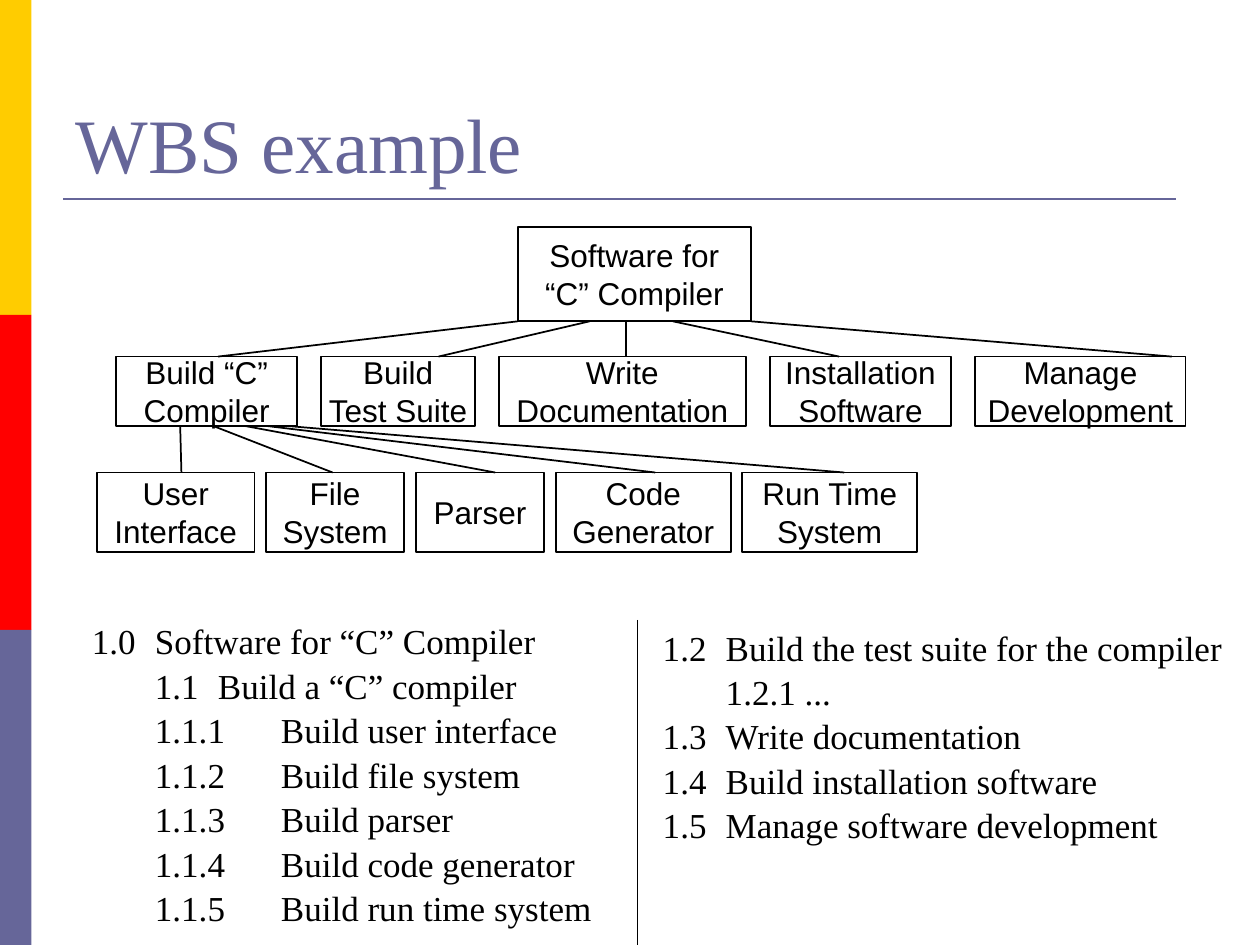
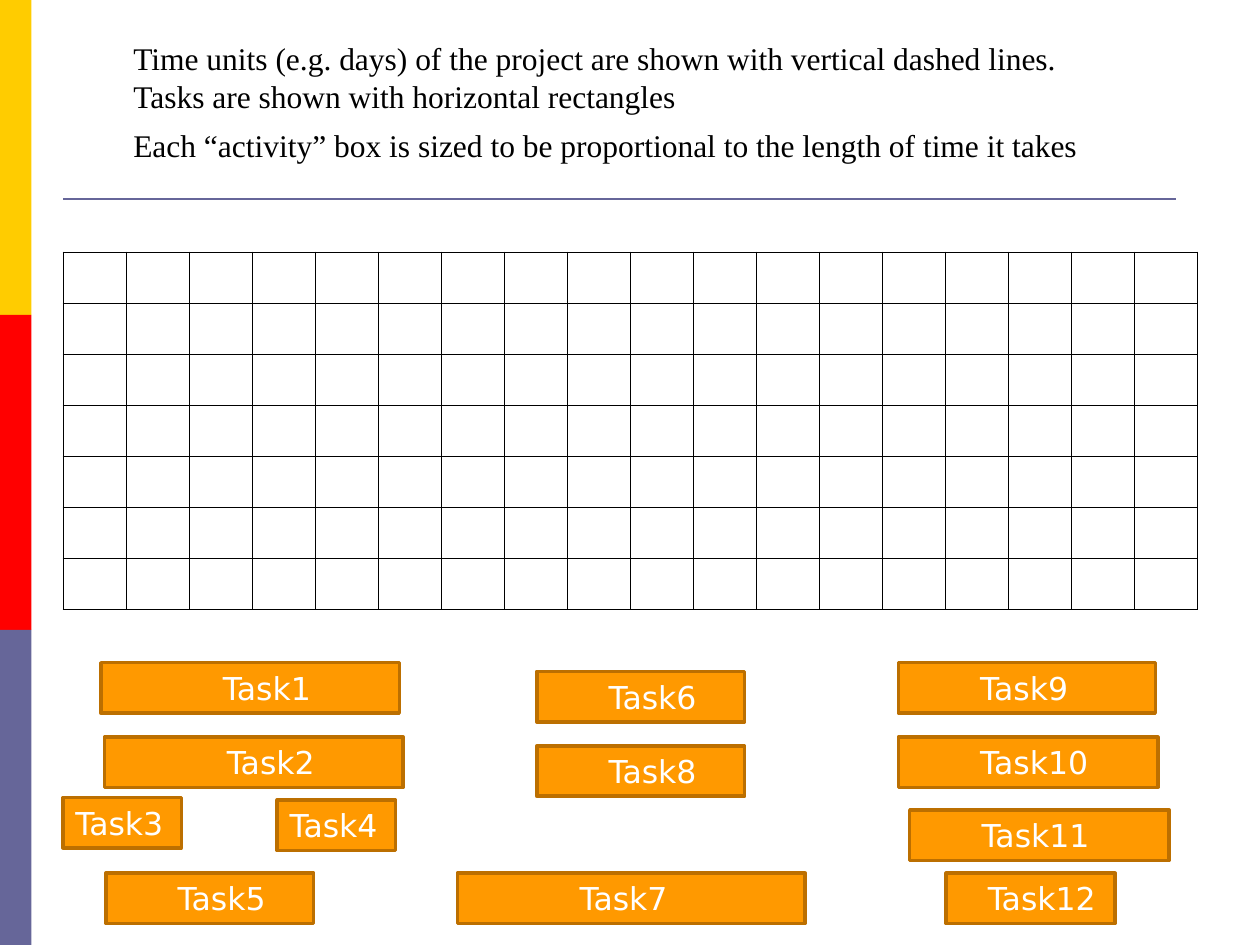
from itertools import accumulate

from lxml.etree import SubElement
from pptx import Presentation
from pptx.dml.color import RGBColor
from pptx.enum.shapes import MSO_CONNECTOR, MSO_SHAPE
from pptx.enum.text import MSO_ANCHOR, MSO_AUTO_SIZE, PP_ALIGN
from pptx.oxml.ns import qn
from pptx.util import Inches, Pt

YELLOW = RGBColor(0xFF, 0xCC, 0x00)
RED = RGBColor(0xFF, 0x00, 0x00)
SLATE = RGBColor(0x66, 0x66, 0x99)
ORANGE = RGBColor(0xFF, 0x99, 0x00)
BROWN = RGBColor(0xBC, 0x6F, 0x00)
BLACK = RGBColor(0x00, 0x00, 0x00)
WHITE = RGBColor(0xFF, 0xFF, 0xFF)
SERIF, SANS, TASK_FONT = "Times New Roman", "Arial", "DejaVu Sans"

WIDTH, HEIGHT = 10, 7.5
BANDS = [YELLOW, RED, SLATE]
BAND_WIDTH = 0.25

TITLE = "WBS example"
ROOT = ["Software for", "“C” Compiler"]
BRANCHES = [
    (["Build “C”", "Compiler"], 1.44),
    (["Build", "Test Suite"], 1.22),
    (["Write", "Documentation"], 1.96),
    (["Installation", "Software"], 1.44),
    (["Manage", "Development"], 1.67),
]
LEAVES = [
    (["User", "Interface"], 1.25),
    (["File", "System"], 1.1),
    (["Parser"], 1.02),
    (["Code", "Generator"], 1.39),
    (["Run Time", "System"], 1.39),
]
ROOT_TOP, ROOT_HEIGHT = 1.8, 0.75
BRANCH_TOP, BRANCH_HEIGHT = 2.83, 0.55
LEAF_TOP, LEAF_HEIGHT = 3.75, 0.63
ROOT_LINKS = [(4.11, 1.73), (4.68, 3.48), (4.97, 4.97), (5.34, 6.66), (5.96, 9.3)]
LEAF_LINKS = [(1.43, 1.44), (1.69, 2.64), (1.94, 3.93), (2.11, 5.2), (2.27, 6.7)]

OUTLINE_LEFT = [
    (0, "1.0\tSoftware for “C” Compiler"),
    (1, "1.1\tBuild a “C” compiler"),
    (2, "1.1.1\tBuild user interface"),
    (2, "1.1.2\tBuild file system"),
    (2, "1.1.3\tBuild parser"),
    (2, "1.1.4\tBuild code generator"),
    (2, "1.1.5\tBuild run time system"),
]
OUTLINE_RIGHT = [
    (0, "1.2\tBuild the test suite for the compiler"),
    (1, "1.2.1 ..."),
    (0, "1.3\tWrite documentation"),
    (0, "1.4\tBuild installation software"),
    (0, "1.5\tManage software development"),
]
LEFT_TABS = [(0.56,), (0.31, 0.93), (0.62, 1.24)]
RIGHT_TABS = [(0.52,), (0.52,)]
DIVIDER_X, DIVIDER_TOP = 5.06, 4.92

GANTT_NOTES = [
    "Time units (e.g. days) of the project are shown with vertical dashed lines.",
    "Tasks are shown with horizontal rectangles",
    "Each “activity” box is sized to be proportional to the length of time it takes",
]
DAYS, TRACKS = 18, 7
GRID_LEFT, GRID_TOP, GRID_WIDTH, GRID_HEIGHT = 0.5, 2, 9, 2.84
TASK_HEIGHT = 0.4
TASKS = [
    ("Task1", 0.8, 5.26, 2.37, 0.87),
    ("Task2", 0.83, 5.85, 2.37, 0.87),
    ("Task3", 0.5, 6.33, 0.94, 0),
    ("Task4", 2.2, 6.35, 0.94, 0),
    ("Task5", 0.84, 6.93, 1.65, 0.47),
    ("Task6", 4.26, 5.33, 1.65, 0.47),
    ("Task7", 3.63, 6.93, 2.76, 0.87),
    ("Task8", 4.26, 5.92, 1.65, 0.47),
    ("Task9", 7.13, 5.26, 2.04, 0.55),
    ("Task10", 7.13, 5.85, 2.06, 0.55),
    ("Task11", 7.22, 6.43, 2.06, 0.47),
    ("Task12", 7.51, 6.93, 1.34, 0.23),
]


def write(frame, lines, font=SERIF, size=18, color=BLACK, align=PP_ALIGN.LEFT,
          anchor=MSO_ANCHOR.TOP, wrap=True, spacing=None, before=None,
          tabs=None, indent=0):
    frame.word_wrap = wrap
    frame.auto_size = MSO_AUTO_SIZE.NONE
    frame.vertical_anchor = anchor
    frame.margin_left = Inches(0.1 + indent)
    frame.margin_right = Inches(0.1)
    frame.margin_top = frame.margin_bottom = Inches(0.05)
    for number, line in enumerate(lines):
        paragraph = frame.add_paragraph() if number else frame.paragraphs[0]
        if tabs:
            properties = paragraph._p.get_or_add_pPr()
            properties.set("marL", "0")
            properties.set("indent", "0")
            SubElement(properties, qn("a:buNone"))
            stops = SubElement(properties, qn("a:tabLst"))
            for stop in tabs[number]:
                SubElement(stops, qn("a:tab"), pos=str(Inches(stop)), algn="l")
        paragraph.alignment = align
        paragraph.line_spacing = spacing
        paragraph.space_before = Pt(before[number] if before else 0)
        run = paragraph.add_run()
        run.text = line
        run.font.name = font
        run.font.size = Pt(size)
        run.font.color.rgb = color


def place(shape, left, top, width, height):
    shape.left, shape.top = Inches(left), Inches(top)
    shape.width, shape.height = Inches(width), Inches(height)


def add_box(slide, left, top, width, height, fill=None, line=None, weight=1):
    box = slide.shapes.add_shape(MSO_SHAPE.RECTANGLE, Inches(left), Inches(top),
                                 Inches(width), Inches(height))
    box.shadow.inherit = False
    if fill is None:
        box.fill.background()
    else:
        box.fill.solid()
        box.fill.fore_color.rgb = fill
    if line is None:
        box.line.fill.background()
    else:
        box.line.color.rgb = line
        box.line.width = Pt(weight)
    return box


def add_line(slide, start, end, color=BLACK, weight=1):
    line = slide.shapes.add_connector(MSO_CONNECTOR.STRAIGHT,
                                      *map(Inches, start), *map(Inches, end))
    line.line.color.rgb = color
    line.line.width = Pt(weight)
    SubElement(line.element.spPr, qn("a:effectLst"))
    return line


def decorate_master(master, slide):
    band_height = HEIGHT / len(BANDS)
    parts = [add_box(slide, 0, row * band_height, BAND_WIDTH, band_height, fill=color)
             for row, color in enumerate(BANDS)]
    parts.append(add_line(slide, (0.5, 1.58), (9.33, 1.58), SLATE, 1.5))
    for number, part in enumerate(parts):
        part.element.xpath(".//p:cNvPr")[0].set("id", str(101 + number))
        master.element.cSld.spTree.insert(2 + number, part.element)


def add_wbs_row(slide, nodes, left, top, height, gap=0):
    widths = [width for _, width in nodes]
    lefts = accumulate([width + gap for width in widths], initial=left)
    for (lines, width), x in zip(nodes, lefts):
        box = add_box(slide, x, top, width, height, line=BLACK)
        write(box.text_frame, lines, font=SANS, align=PP_ALIGN.CENTER,
              anchor=MSO_ANCHOR.MIDDLE, wrap=False)


def fill_outline(placeholder, items, level_tabs, at, wrap=True):
    place(placeholder, *at)
    lines = ["\t" * (level > 0) + text for level, text in items]
    write(placeholder.text_frame, lines, size=20, spacing=0.85, wrap=wrap,
          before=[0] + [5] * (len(items) - 1),
          tabs=[level_tabs[level] for level, _ in items])


def build_wbs(slide):
    place(slide.shapes.title, 0.5, 0.3, 9, 1.25)
    write(slide.shapes.title.text_frame, [TITLE], size=44, color=SLATE,
          anchor=MSO_ANCHOR.BOTTOM)
    add_wbs_row(slide, [(ROOT, 1.85)], 4.11, ROOT_TOP, ROOT_HEIGHT)
    add_wbs_row(slide, BRANCHES, 0.92, BRANCH_TOP, BRANCH_HEIGHT, gap=0.19)
    add_wbs_row(slide, LEAVES, 0.77, LEAF_TOP, LEAF_HEIGHT, gap=0.09)
    for links, upper, lower in [(ROOT_LINKS, ROOT_TOP + ROOT_HEIGHT, BRANCH_TOP),
                                (LEAF_LINKS, BRANCH_TOP + BRANCH_HEIGHT, LEAF_TOP)]:
        for parent_x, child_x in links:
            add_line(slide, (parent_x, upper), (child_x, lower))
    fill_outline(slide.placeholders[1], OUTLINE_LEFT, LEFT_TABS, (0.63, 4.92, 4.4, 2.5))
    fill_outline(slide.placeholders[2], OUTLINE_RIGHT, RIGHT_TABS, (5.16, 4.97, 4.66, 1.8),
                 wrap=False)
    add_line(slide, (DIVIDER_X, DIVIDER_TOP), (DIVIDER_X, HEIGHT))


def format_day_cell(cell):
    cell.fill.background()
    cell.margin_top = cell.margin_bottom = 0
    properties = cell._tc.get_or_add_tcPr()
    for number, side in enumerate(["lnL", "lnR", "lnT", "lnB"]):
        border = SubElement(properties, qn(f"a:{side}"), w=str(Pt(0.45)))
        paint = SubElement(border, qn("a:solidFill"))
        SubElement(paint, qn("a:srgbClr"), val=str(BLACK))
        properties.insert(number, border)


def build_gantt(slide):
    chart_grid = slide.shapes.add_table(TRACKS, DAYS, Inches(GRID_LEFT), Inches(GRID_TOP),
                                        Inches(GRID_WIDTH), Inches(GRID_HEIGHT)).table
    chart_grid.first_row = chart_grid.horz_banding = False
    for cell in chart_grid.iter_cells():
        format_day_cell(cell)
    for name, left, top, width, indent in TASKS:
        bar = add_box(slide, left, top, width, TASK_HEIGHT, ORANGE, BROWN, 2)
        write(bar.text_frame, [name], font=TASK_FONT, color=WHITE, indent=indent)
    notes = slide.shapes.add_textbox(Inches(0.96), Inches(0.26), Inches(7.7), Inches(1.1))
    write(notes.text_frame, GANTT_NOTES, wrap=False, before=[0, 0, 6.8])


def main():
    prs = Presentation()
    prs.slide_width, prs.slide_height = Inches(WIDTH), Inches(HEIGHT)
    two_content, blank = prs.slide_layouts[3], prs.slide_layouts[6]
    wbs = prs.slides.add_slide(two_content)
    decorate_master(prs.slide_master, wbs)
    build_wbs(wbs)
    build_gantt(prs.slides.add_slide(blank))
    prs.save("out.pptx")


if __name__ == "__main__":
    main()
